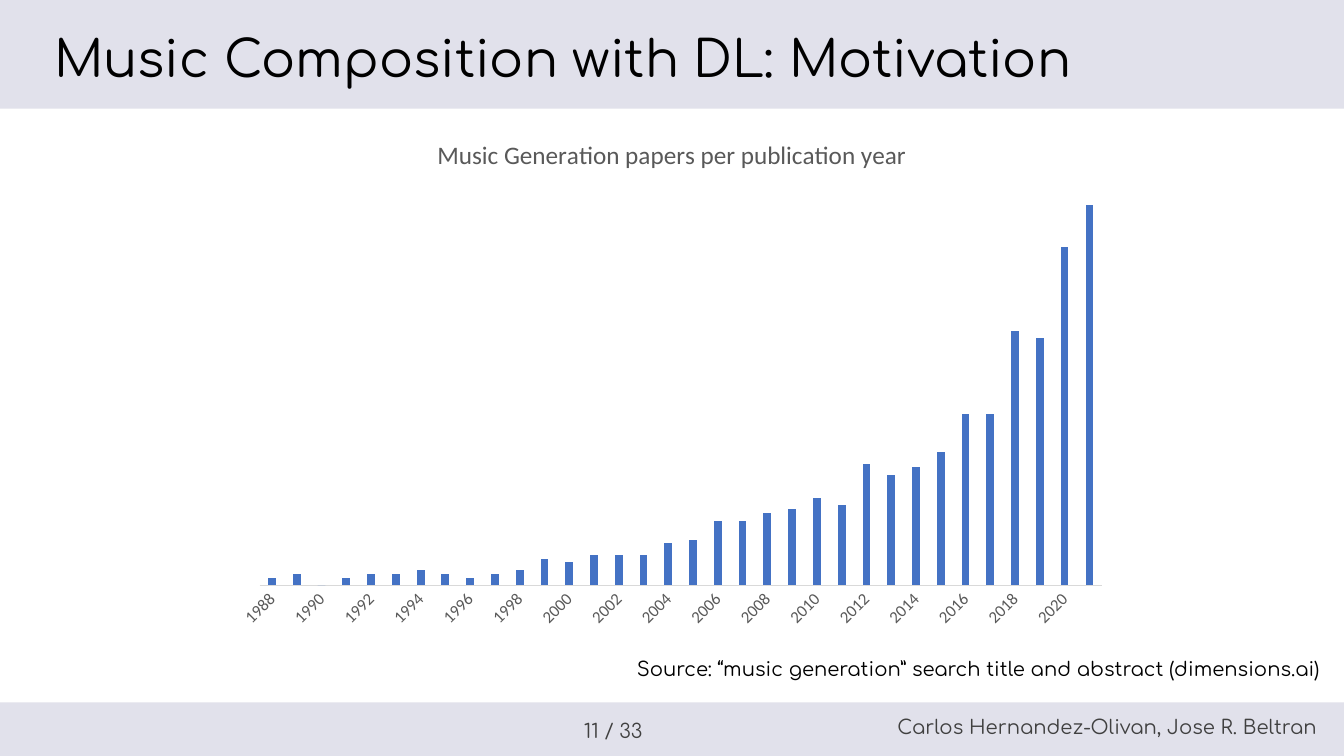
from dataclasses import dataclass

from lxml.etree import SubElement
from pptx import Presentation
from pptx.chart.data import CategoryChartData
from pptx.dml.color import RGBColor
from pptx.enum.chart import XL_CHART_TYPE, XL_TICK_MARK
from pptx.enum.shapes import MSO_SHAPE
from pptx.enum.text import MSO_AUTO_SIZE, PP_ALIGN
from pptx.oxml import parse_xml
from pptx.oxml.ns import nsdecls, qn
from pptx.util import Cm, Pt


@dataclass(frozen=True)
class Theme:
    text_font: str = "Comfortaa"
    chart_font: str = "Calibri"
    band: RGBColor = RGBColor(0xE1, 0xE1, 0xEB)
    ink: RGBColor = RGBColor(0, 0, 0)
    footer_ink: RGBColor = RGBColor(0x40, 0x40, 0x40)
    chart_ink: RGBColor = RGBColor(0x59, 0x59, 0x59)
    axis_line: RGBColor = RGBColor(0xD9, 0xD9, 0xD9)
    bar: RGBColor = RGBColor(0x44, 0x72, 0xC4)
    title_size: Pt = Pt(36)
    small_size: Pt = Pt(14)
    chart_title_size: Pt = Pt(18)
    axis_size: Pt = Pt(12)


@dataclass(frozen=True)
class Box:
    left: int
    top: int
    width: int
    height: int

    def inner(self, left, top, width, height):
        """Box placed relative to this one, in centimetres."""
        return Box(self.left + Cm(left), self.top + Cm(top), Cm(width), Cm(height))

    def edges(self):
        return self.left, self.top, self.width, self.height


THEME = Theme()
FIRST_YEAR = 1988
PAPERS = [2, 3, 0.4, 2, 3, 3, 4, 3, 2, 3, 4, 7, 6, 8, 8, 8, 11,
          12, 17, 17, 19, 20, 23, 21, 32, 29, 31, 35, 45, 45, 67, 65, 89, 100]
PAPERS[2] = 0


def style_font(font, name, size, color):
    font.name = name
    font.size = size
    font.color.rgb = color


def add_band(page, box):
    band = page.shapes.add_shape(MSO_SHAPE.RECTANGLE, *box.edges())
    band.shadow.inherit = False
    band.fill.solid()
    band.fill.fore_color.rgb = THEME.band
    band.line.fill.background()


def add_text(page, box, text, size, color, align=PP_ALIGN.LEFT, wrap=False):
    frame = page.shapes.add_textbox(*box.edges()).text_frame
    frame.word_wrap = wrap
    frame.auto_size = MSO_AUTO_SIZE.SHAPE_TO_FIT_TEXT
    para = frame.paragraphs[0]
    para.text = text
    para.alignment = align
    style_font(para.font, THEME.text_font, size, color)


def add_header(page, box):
    add_band(page, box)
    add_text(page, box.inner(1.12, 0.58, 29.77, 1.8), "Music Composition with DL: Motivation",
             THEME.title_size, THEME.ink, wrap=True)


def add_footer(page, box):
    add_band(page, box)
    labels = [(box.inner(22.28, 0.18, 11.25, 0.86), "Carlos Hernandez-Olivan, Jose R. Beltran"),
              (box.inner(14.45, 0.28, 2.01, 0.86), "11 / 33")]
    for label_box, text in labels:
        add_text(page, label_box, text, THEME.small_size, THEME.footer_ink, PP_ALIGN.CENTER)


def set_plot_layout(chart, **fractions):
    """Fix the inner plot area as fractions (x, y, w, h) of the chart."""
    plot_area = chart._chartSpace.chart.plotArea
    for old in plot_area.findall(qn("c:layout")):
        plot_area.remove(old)
    layout = parse_xml(f"<c:layout {nsdecls('c')}/>")
    manual = SubElement(layout, qn("c:manualLayout"))
    settings = {"layoutTarget": "inner", "xMode": "edge", "yMode": "edge", **fractions}
    for tag, value in settings.items():
        SubElement(manual, qn(f"c:{tag}")).set("val", str(value))
    plot_area.insert(0, layout)


def style_year_axis(axis):
    axis.major_tick_mark = XL_TICK_MARK.NONE
    axis.format.line.color.rgb = THEME.axis_line
    axis.format.line.width = Pt(0.75)
    style_font(axis.tick_labels.font, THEME.chart_font, THEME.axis_size, THEME.chart_ink)
    element = axis._element
    element.find(qn("c:txPr")).find(qn("a:bodyPr")).set("rot", "-2700000")
    skip = parse_xml(f'<c:tickLblSkip {nsdecls("c")} val="2"/>')
    element.find(qn("c:noMultiLvlLbl")).addprevious(skip)


def add_papers_chart(page, box):
    data = CategoryChartData()
    data.categories = [str(FIRST_YEAR + offset) for offset in range(len(PAPERS))]
    data.add_series("Series 1", PAPERS)
    chart = page.shapes.add_chart(XL_CHART_TYPE.COLUMN_CLUSTERED, *box.edges(), data).chart
    style_font(chart.font, THEME.chart_font, THEME.axis_size, THEME.chart_ink)
    chart.has_legend = False

    chart.has_title = True
    title = chart.chart_title
    title.include_in_layout = False
    para = title.text_frame.paragraphs[0]
    para.text = "Music Generation papers per publication year"
    style_font(para.font, THEME.chart_font, THEME.chart_title_size, THEME.chart_ink)
    para.font.bold = False

    plot = chart.plots[0]
    plot.vary_by_categories = False
    plot.gap_width = 219
    plot.overlap = -27
    fill = plot.series[0].format.fill
    fill.solid()
    fill.fore_color.rgb = THEME.bar

    style_year_axis(chart.category_axis)
    values = chart.value_axis
    values.minimum_scale = 0
    values.maximum_scale = 100
    values.has_major_gridlines = False
    values.visible = False
    set_plot_layout(chart, x=0.04, y=0.17, w=0.94, h=0.73)


def build_slide(page, box):
    add_footer(page, box.inner(0, 17.7, 33.87, 1.42))
    add_header(page, box.inner(0, -0.03, 33.87, 2.77))
    add_papers_chart(page, box.inner(5.64, 2.95, 22.58, 13.11))
    add_text(page, box.inner(15.8, 16.43, 18.06, 0.86),
             "Source: “music generation” search title and abstract (dimensions.ai)",
             THEME.small_size, THEME.ink)


def main():
    deck = Presentation()
    deck.slide_width, deck.slide_height = Cm(33.87), Cm(19.05)
    page = deck.slides.add_slide(deck.slide_layouts[6])
    build_slide(page, Box(0, 0, deck.slide_width, deck.slide_height))
    deck.save("out.pptx")


if __name__ == "__main__":
    main()
